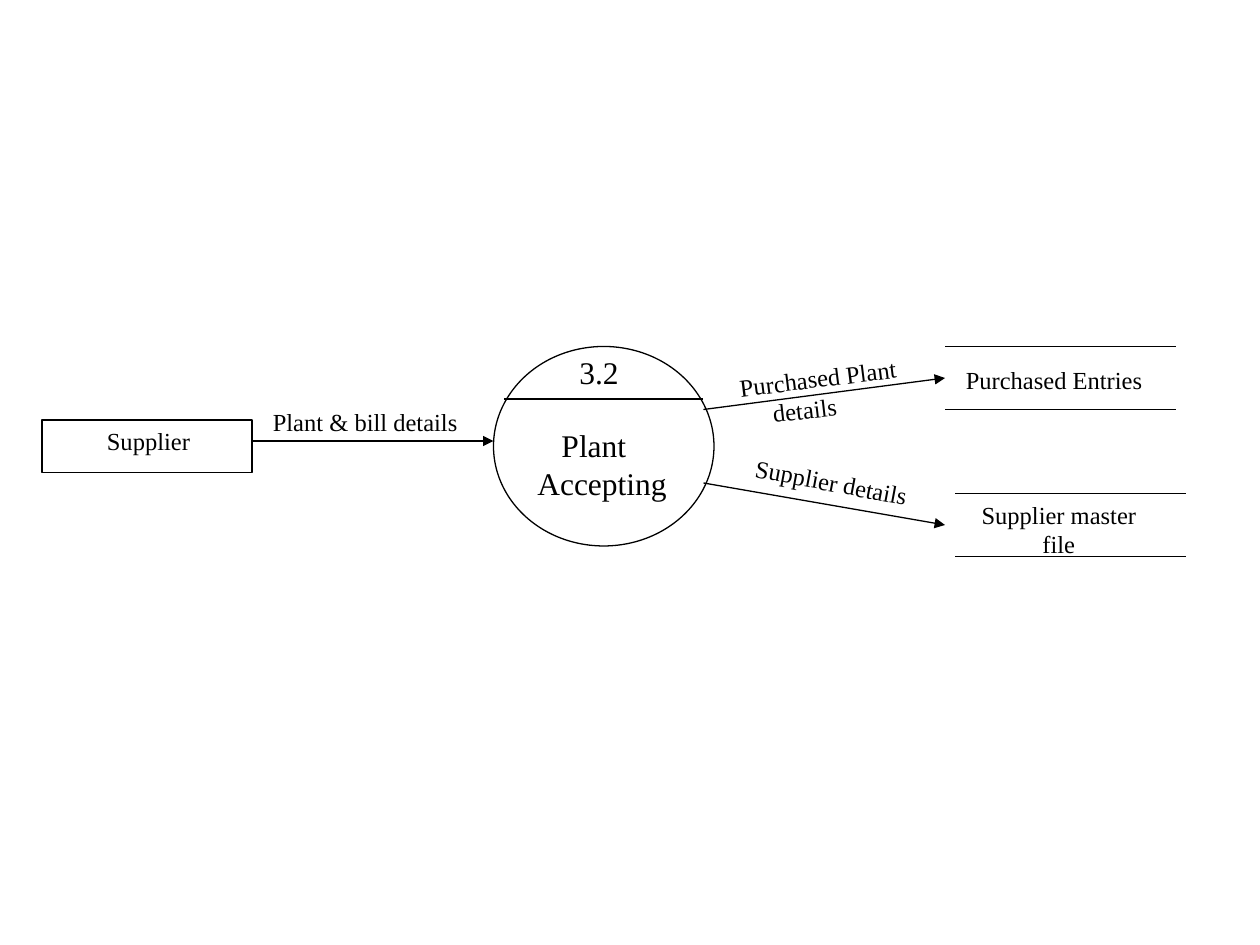
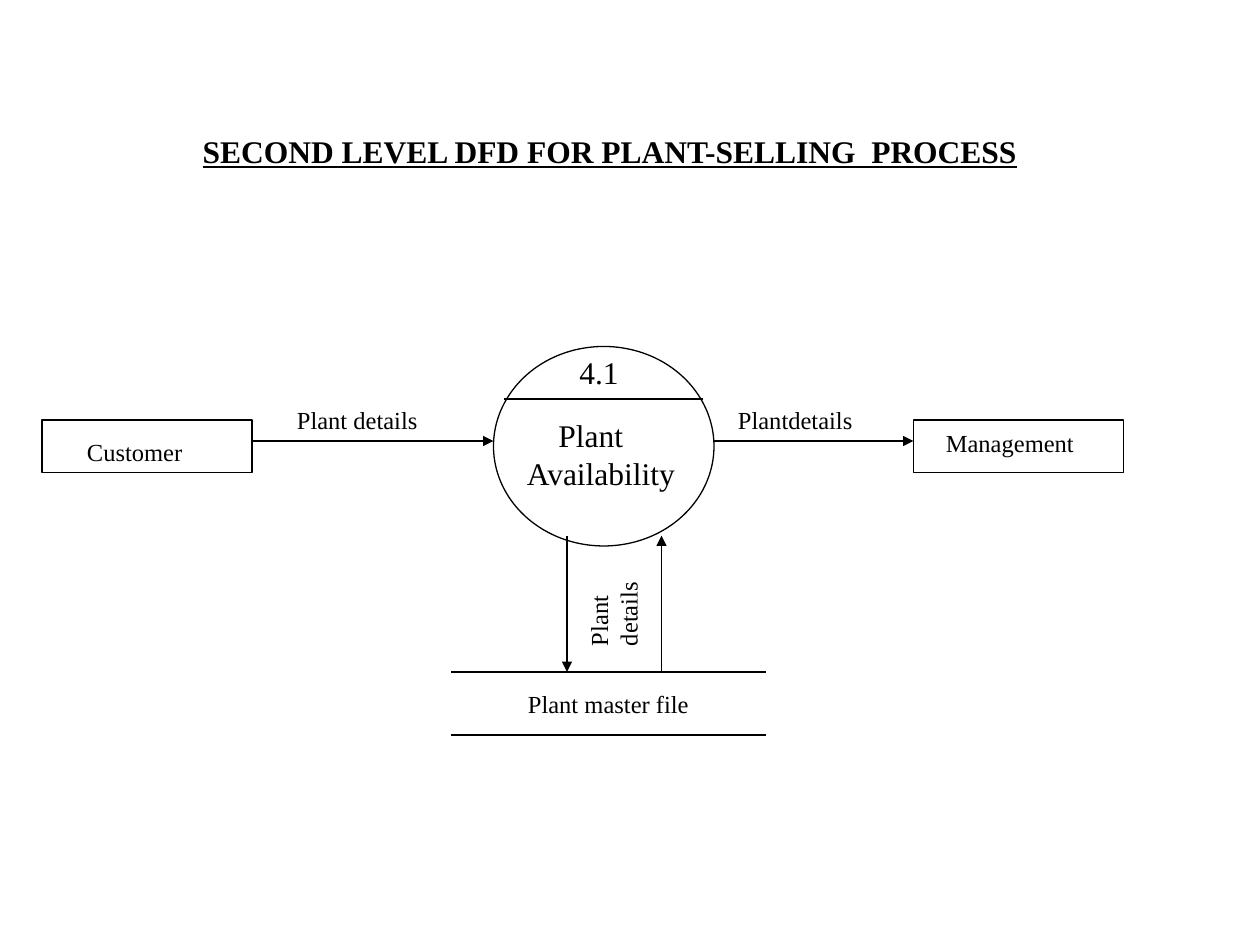
from dataclasses import dataclass

from lxml import etree
from pptx import Presentation
from pptx import util as u
from pptx.dml.color import RGBColor
from pptx.enum import shapes, text
from pptx.oxml.ns import qn

PX = 7620  # EMU per px, 120 px to the inch


@dataclass(frozen=True)
class Theme:
    ink: RGBColor = RGBColor(0, 0, 0)
    font: str = "Times New Roman"
    label: int = 14
    heading: int = 18
    stroke: float = 0.75
    inset_x: int = 12
    inset_y: int = 6


theme = Theme()


def add_text(page, left, top, width, lines, size=theme.label, rotation=0, title=False):
    """Write lines, each a string or a (string, indent) pair, into a text box or the title."""
    height = round(len(lines) * size * 1.15 * 120 / 72) + 2 * theme.inset_y
    place = [n * PX for n in (left, top, width, height)]
    if title:
        box = page.shapes.title
        box.left, box.top, box.width, box.height = place
    else:
        box = page.shapes.add_textbox(*place)
    box.rotation = rotation
    frame = box.text_frame
    frame.word_wrap = True
    frame.auto_size = text.MSO_AUTO_SIZE.NONE
    frame.vertical_anchor = text.MSO_ANCHOR.TOP
    frame.margin_left, frame.margin_right = theme.inset_x * PX, 0
    frame.margin_top = frame.margin_bottom = theme.inset_y * PX
    for index, line in enumerate(lines):
        words, indent = (line, 0) if isinstance(line, str) else line
        para = frame.paragraphs[0] if index == 0 else frame.add_paragraph()
        para.text = words
        para.alignment = text.PP_ALIGN.LEFT
        para._p.get_or_add_pPr().set("marL", str(indent * PX))
        para.font.name = theme.font
        para.font.size = u.Pt(size)
        para.font.color.rgb = theme.ink
        para.font.bold = para.font.underline = title


def add_line(page, x1, y1, x2, y2, arrow=False):
    line = page.shapes.add_connector(
        shapes.MSO_CONNECTOR.STRAIGHT, x1 * PX, y1 * PX, x2 * PX, y2 * PX)
    line.line.color.rgb = theme.ink
    line.line.width = u.Pt(theme.stroke)
    if arrow:
        etree.SubElement(line.line._get_or_add_ln(), qn("a:tailEnd"), type="triangle")
    etree.SubElement(line._element.spPr, qn("a:effectLst"))


deck = Presentation()
deck.slide_width, deck.slide_height = 1200 * PX, 900 * PX
TITLE_ONLY, BLANK = deck.slide_layouts[5], deck.slide_layouts[6]

# entities: left edges; stores: left, right, top; flows: x1, y1, x2, y2
# labels: left, top, width, lines, then optional size and rotation
diagrams = [
    dict(
        number="3.2",
        entities=[40],
        stores=[(900, 1120, 330), (910, 1130, 470)],
        flows=[(670, 390, 900, 360), (670, 460, 900, 500)],
        labels=[
            (90, 400, 103, ["Supplier"]),
            (248, 382, 200, ["Plant & bill details"]),
            (908, 342, 198, ["Purchased Entries"]),
            (911, 470, 182, [("Supplier master", 12), ("file", 70)]),
            (692, 340, 174, ["Purchased Plant"], theme.label, -7.2),
            (724, 370, 85, ["details"], theme.label, -6.6),
            (707, 439, 170, ["Supplier details"], theme.label, 10.7),
            (500, 400, 146, [("Plant", 23), "Accepting"], theme.heading),
        ],
    ),
    dict(
        title="SECOND LEVEL DFD FOR PLANT-SELLING  PROCESS",
        number="4.1",
        entities=[40, 870],
        stores=[(430, 730, 640)],
        flows=[(680, 420, 870, 420), (540, 510, 540, 640), (630, 640, 630, 510)],
        labels=[
            (71, 410, 115, ["Customer"]),
            (889, 402, 146, ["Management"]),
            (271, 380, 139, ["Plant details"]),
            (691, 380, 133, ["Plantdetails"]),
            (491, 650, 178, ["Plant master file"]),
            (535, 558, 96, [("Plant", 12), ("details", 12)], theme.label, 270),
            (490, 390, 193, [("Plant", 30), "Availability"], theme.heading),
        ],
    ),
]

for diagram in diagrams:
    page = deck.slides.add_slide(TITLE_ONLY if "title" in diagram else BLANK)
    if "title" in diagram:
        add_text(page, 181, 120, 804, [diagram["title"]], theme.heading, title=True)

    outlines = [(shapes.MSO_SHAPE.RECTANGLE, left, 400, 200, 50) for left in diagram["entities"]]
    outlines.append((shapes.MSO_SHAPE.OVAL, 470, 330, 210, 190))
    for kind, *place in outlines:
        outline = page.shapes.add_shape(kind, *[n * PX for n in place])
        outline.shadow.inherit = False
        outline.fill.background()
        outline.line.color.rgb = theme.ink
        outline.line.width = u.Pt(theme.stroke)

    add_line(page, 480, 380, 670, 380)
    add_text(page, 540, 330, 61, [diagram["number"]], theme.heading)
    for left, right, top in diagram["stores"]:
        for y in (top, top + 60):
            add_line(page, left, y, right, y)
    for flow in [(240, 420, 470, 420), *diagram["flows"]]:
        add_line(page, *flow, arrow=True)
    for label in diagram["labels"]:
        add_text(page, *label)

deck.save("out.pptx")
